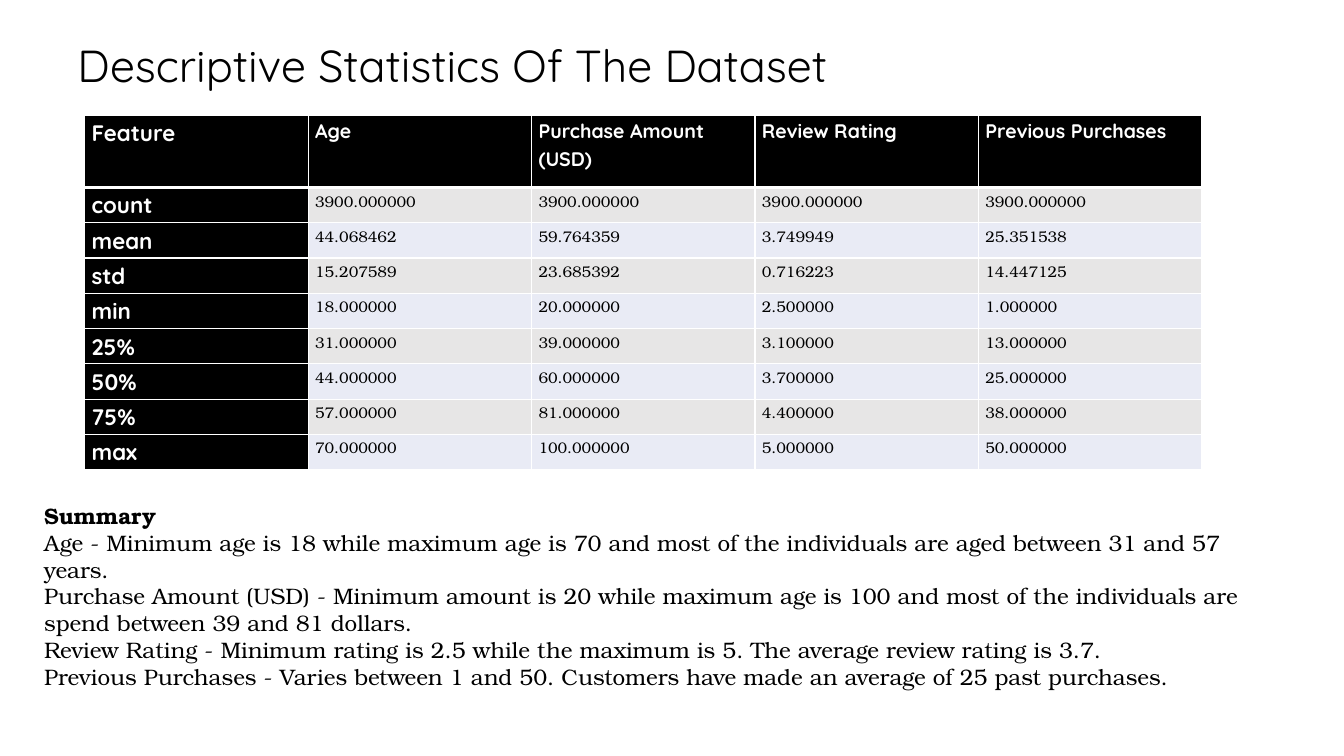
"""Build a slide with descriptive statistics of a shopping data set."""
from dataclasses import dataclass
import lxml.etree
import pptx
import pptx.dml.color
import pptx.oxml.ns
import pptx.util

Inches = pptx.util.Inches
SANS, SERIF = "Quicksand", "TeX Gyre Bonum"
BLACK, WHITE = "000000", "FFFFFF"
BANDS = ("E7E6E6", "E9EBF5")
HEADER_HEIGHT, ROW_HEIGHT = 0.72, 0.35


@dataclass
class TextBlock:
    left: float
    top: float
    width: float
    height: float
    size: int
    font: str
    lines: list[str]
    bold_first: bool = False


BLOCKS = [
    TextBlock(0.67, 0.33, 11.25, 0.64, 32, SANS, ["Descriptive Statistics Of The Dataset"]),
    TextBlock(0.34, 4.93, 12.27, 1.99, 16, SERIF, [
        "Summary",
        "Age - Minimum age is 18 while maximum age is 70 and most of the individuals "
        "are aged between 31 and 57 years.",
        "Purchase Amount (USD) - Minimum amount is 20 while maximum age is 100 and most "
        "of the individuals are spend between 39 and 81 dollars.",
        "Review Rating - Minimum rating is 2.5 while the maximum is 5. "
        "The average review rating is 3.7.",
        "Previous Purchases - Varies between 1 and 50. "
        "Customers have made an average of 25 past purchases.",
    ], bold_first=True),
]

STATISTICS = [
    ["Feature", "Age", "Purchase Amount (USD)", "Review Rating", "Previous Purchases"],
    ["count", "3900.000000", "3900.000000", "3900.000000", "3900.000000"],
    ["mean", "44.068462", "59.764359", "3.749949", "25.351538"],
    ["std", "15.207589", "23.685392", "0.716223", "14.447125"],
    ["min", "18.000000", "20.000000", "2.500000", "1.000000"],
    ["25%", "31.000000", "39.000000", "3.100000", "13.000000"],
    ["50%", "44.000000", "60.000000", "3.700000", "25.000000"],
    ["75%", "57.000000", "81.000000", "4.400000", "38.000000"],
    ["max", "70.000000", "100.000000", "5.000000", "50.000000"],
]


def color(value: str) -> pptx.dml.color.RGBColor:
    return pptx.dml.color.RGBColor.from_string(value)


def write(para, text: str, *, size: int, font: str, fill: str = BLACK,
          bold: bool = False, spacing: float = 1.0) -> None:
    para.line_spacing = spacing
    span = para.add_run()
    span.text = text
    span.font.size = pptx.util.Pt(size)
    span.font.name = font
    span.font.bold = bold
    span.font.color.rgb = color(fill)


def add_block(page, block: TextBlock) -> None:
    box = page.shapes.add_textbox(Inches(block.left), Inches(block.top),
                                  Inches(block.width), Inches(block.height))
    frame = box.text_frame
    frame.word_wrap = True
    for index, line in enumerate(block.lines):
        para = frame.add_paragraph() if index else frame.paragraphs[0]
        write(para, line, size=block.size, font=block.font,
              bold=block.bold_first and index == 0)


def set_borders(cell, row: int) -> None:
    properties = cell._tc.get_or_add_tcPr()
    widths = {"L": 1, "R": 1, "T": 3 if row == 1 else 1, "B": 3 if row == 0 else 1}
    for side, width in widths.items():
        line = lxml.etree.SubElement(properties, pptx.oxml.ns.qn(f"a:ln{side}"),
                                     w=str(pptx.util.Pt(width)))
        solid = lxml.etree.SubElement(line, pptx.oxml.ns.qn("a:solidFill"))
        lxml.etree.SubElement(solid, pptx.oxml.ns.qn("a:srgbClr"), val=WHITE)


def fill_cell(cell, text: str, row: int, column: int) -> None:
    heading = row == 0 or column == 0
    set_borders(cell, row)
    cell.fill.solid()
    cell.fill.fore_color.rgb = color(BLACK if heading else BANDS[(row - 1) % 2])
    cell.margin_left = cell.margin_right = Inches(0.07)
    cell.margin_top = cell.margin_bottom = 0
    size = 16 if column == 0 else 14 if row == 0 else 11
    write(cell.text_frame.paragraphs[0], text, size=size, spacing=1.15, bold=heading,
          font=SANS if heading else SERIF, fill=WHITE if heading else BLACK)


def add_statistics(page) -> None:
    rows, columns = len(STATISTICS), len(STATISTICS[0])
    height = HEADER_HEIGHT + (rows - 1) * ROW_HEIGHT
    table = page.shapes.add_table(rows, columns, Inches(0.84), Inches(1.14),
                                  Inches(11.08), Inches(height)).table
    table.first_col = True
    for row, values in enumerate(STATISTICS):
        table.rows[row].height = Inches(ROW_HEIGHT if row else HEADER_HEIGHT)
        for column, text in enumerate(values):
            fill_cell(table.cell(row, column), text, row, column)


def main() -> None:
    deck = pptx.Presentation()
    deck.slide_width, deck.slide_height = Inches(13.33), Inches(7.5)
    page = deck.slides.add_slide(deck.slide_layouts[6])
    for block in BLOCKS:
        add_block(page, block)
    add_statistics(page)
    deck.save("out.pptx")


if __name__ == "__main__":
    main()
